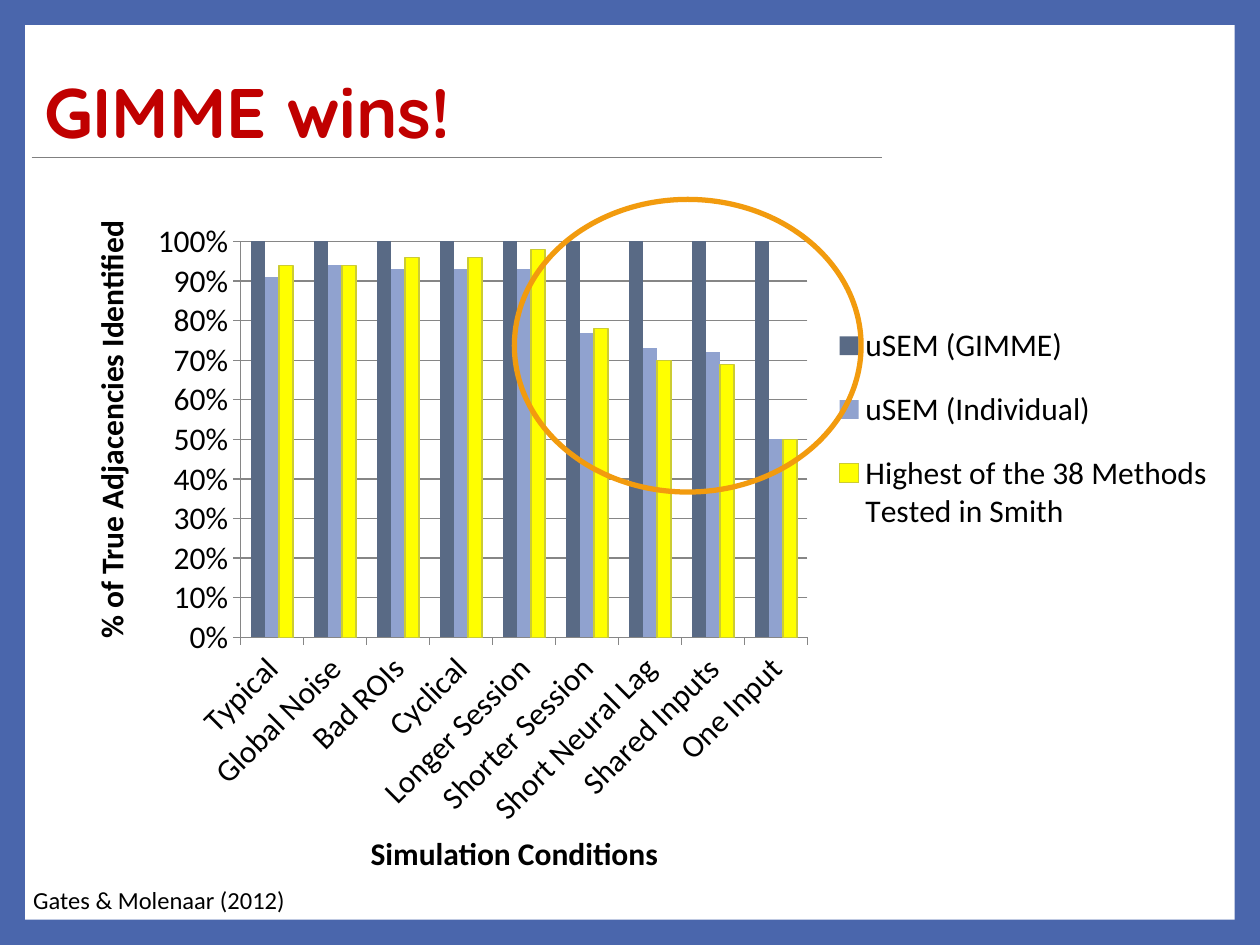
from lxml import etree
from pptx import Presentation
from pptx.chart.data import CategoryChartData
from pptx.dml.color import RGBColor
from pptx.enum.chart import XL_CHART_TYPE, XL_LEGEND_POSITION, XL_TICK_MARK
from pptx.enum.shapes import MSO_CONNECTOR, MSO_SHAPE
from pptx.enum.text import MSO_ANCHOR, PP_ALIGN
from pptx.oxml.ns import qn
from pptx.util import Cm, Pt

COLUMNS = XL_CHART_TYPE.COLUMN_CLUSTERED
LEGEND_RIGHT = XL_LEGEND_POSITION.RIGHT
TICK_OUT, TICK_NONE = XL_TICK_MARK.OUTSIDE, XL_TICK_MARK.NONE
STRAIGHT = MSO_CONNECTOR.STRAIGHT
RECTANGLE, OVAL = MSO_SHAPE.RECTANGLE, MSO_SHAPE.OVAL
TOP, MIDDLE = MSO_ANCHOR.TOP, MSO_ANCHOR.MIDDLE
LEFT, CENTER = PP_ALIGN.LEFT, PP_ALIGN.CENTER

CHART_WIDTH, CHART_HEIGHT = 22.02, 12.7
COLORS = {key: RGBColor.from_string(value) for key, value in {
    "frame": "4A66AC", "page": "FFFFFF", "rule": "808080", "axis": "868686",
    "text": "000000", "title": "C00000", "highlight": "F29B0E",
    "gimme": "596A85", "individual": "90A2CF",
    "smith": "FFFF00", "smith_edge": "CCCC33",
}.items()}


def add_label(text, left, top, width, height, size, font="Calibri",
              color="text", bold=False, align=LEFT, anchor=TOP):
    box = slide.shapes.add_textbox(Cm(left), Cm(top), Cm(width), Cm(height))
    frame = box.text_frame
    frame.word_wrap = True
    frame.vertical_anchor = anchor
    paragraph = frame.paragraphs[0]
    paragraph.text = text
    paragraph.alignment = align
    run_font = paragraph.runs[0].font
    run_font.name, run_font.size, run_font.bold = font, Pt(size), bold
    run_font.color.rgb = COLORS[color]
    return box


def place_in_chart(parent, position, left, top, width, height):
    """Fix a chart part in place, in centimetres from the chart's corner."""
    for old_layout in parent.findall(qn("c:layout")):
        parent.remove(old_layout)
    layout = etree.Element(qn("c:layout"))
    manual = etree.SubElement(layout, qn("c:manualLayout"))
    if parent.tag == qn("c:plotArea"):
        etree.SubElement(manual, qn("c:layoutTarget"), val="inner")
    for mode in ("xMode", "yMode"):
        etree.SubElement(manual, qn(f"c:{mode}"), val="edge")
    for key, length, whole in (("x", left, CHART_WIDTH), ("y", top, CHART_HEIGHT),
                               ("w", width, CHART_WIDTH), ("h", height, CHART_HEIGHT)):
        etree.SubElement(manual, qn(f"c:{key}"), val=str(length / whole))
    parent.insert(position, layout)


deck = Presentation()
deck.slide_width, deck.slide_height = Cm(25.4), Cm(19.05)
slide = deck.slides.add_slide(deck.slide_layouts[6])
slide.background.fill.solid()
slide.background.fill.fore_color.rgb = COLORS["frame"]

page = slide.shapes.add_shape(RECTANGLE, Cm(0.51), Cm(0.51), Cm(24.38), Cm(18.03))
page.shadow.inherit = False
page.fill.solid()
page.fill.fore_color.rgb = COLORS["page"]
page.line.fill.background()

title_rule = slide.shapes.add_connector(STRAIGHT, Cm(0.64), Cm(3.18), Cm(17.78), Cm(3.18))
title_rule.line.color.rgb = COLORS["rule"]
title_rule.line.width = Pt(0.79)
etree.SubElement(title_rule._element.spPr, qn("a:effectLst"))

# Share of true adjacencies found under each simulation condition
results = CategoryChartData(number_format="0%")
results.categories = [
    "Typical", "Global Noise", "Bad ROIs", "Cyclical", "Longer Session",
    "Shorter Session", "Short Neural Lag", "Shared Inputs", "One Input"]
results.add_series("uSEM (GIMME)", [1] * 9)
results.add_series("uSEM (Individual)",
                   [0.91, 0.94, 0.93, 0.93, 0.93, 0.77, 0.73, 0.72, 0.5])
results.add_series("Highest of the 38 Methods Tested in Smith",
                   [0.94, 0.94, 0.96, 0.96, 0.98, 0.78, 0.7, 0.69, 0.5])
chart = slide.shapes.add_chart(
    COLUMNS, Cm(2.74), Cm(4.24), Cm(CHART_WIDTH), Cm(CHART_HEIGHT), results).chart
chart.has_title = False
chart.font.name, chart.font.size = "Calibri", Pt(18)
chart.font.color.rgb = COLORS["text"]

plot = chart.plots[0]
plot.gap_width, plot.overlap = 150, 0
plot.vary_by_categories = False
for method, color in zip(plot.series, ("gimme", "individual", "smith")):
    method.format.fill.solid()
    method.format.fill.fore_color.rgb = COLORS[color]
    method.invert_if_negative = False
smith_edge = plot.series[2].format.line
smith_edge.color.rgb = COLORS["smith_edge"]
smith_edge.width = Pt(0.75)

conditions, share = chart.category_axis, chart.value_axis
share.minimum_scale, share.maximum_scale, share.major_unit = 0, 1, 0.1
share.tick_labels.number_format = "0%"
share.tick_labels.number_format_is_linked = False
share.has_major_gridlines = True
for axis in (conditions, share):
    axis.major_tick_mark, axis.minor_tick_mark = TICK_OUT, TICK_NONE
for line in (conditions.format.line, share.format.line,
             share.major_gridlines.format.line):
    line.color.rgb = COLORS["axis"]
    line.width = Pt(0.75)
conditions.tick_labels.font.size = Pt(18)
conditions._element.find(qn("c:txPr")).find(qn("a:bodyPr")).set("rot", "-2700000")

chart.has_legend = True
chart.legend.position = LEGEND_RIGHT
chart.legend.include_in_layout = False
plot_area = chart._chartSpace.chart.plotArea
place_in_chart(plot_area, 0, 2.11, 0.63, 11.43, 7.98)
place_in_chart(chart.legend._element, 1, 14.04, 1.83, 7.7, 5.14)

share_title = add_label("% of True Adjacencies Identified",
                        -2.42, 7.95, 9.32, 1.02, 18, bold=True)
share_title.rotation = 270
add_label("Simulation Conditions", 5.71, 16.69, 9.32, 1.02, 18,
          bold=True, align=CENTER)

title = add_label("GIMME wins!", 0.64, 0.43, 24.13, 3.81, 40, font="Quicksand",
                  color="title", bold=True, anchor=MIDDLE)
title.text_frame.paragraphs[0].line_spacing = 0.9

highlight = slide.shapes.add_shape(OVAL, Cm(10.37), Cm(4.02), Cm(6.99), Cm(5.9))
highlight.shadow.inherit = False
highlight.fill.background()
highlight.line.color.rgb = COLORS["highlight"]
highlight.line.width = Pt(3)

add_label("Gates & Molenaar (2012)", 0.42, 17.72, 8.18, 0.86, 14)

deck.save("out.pptx")
